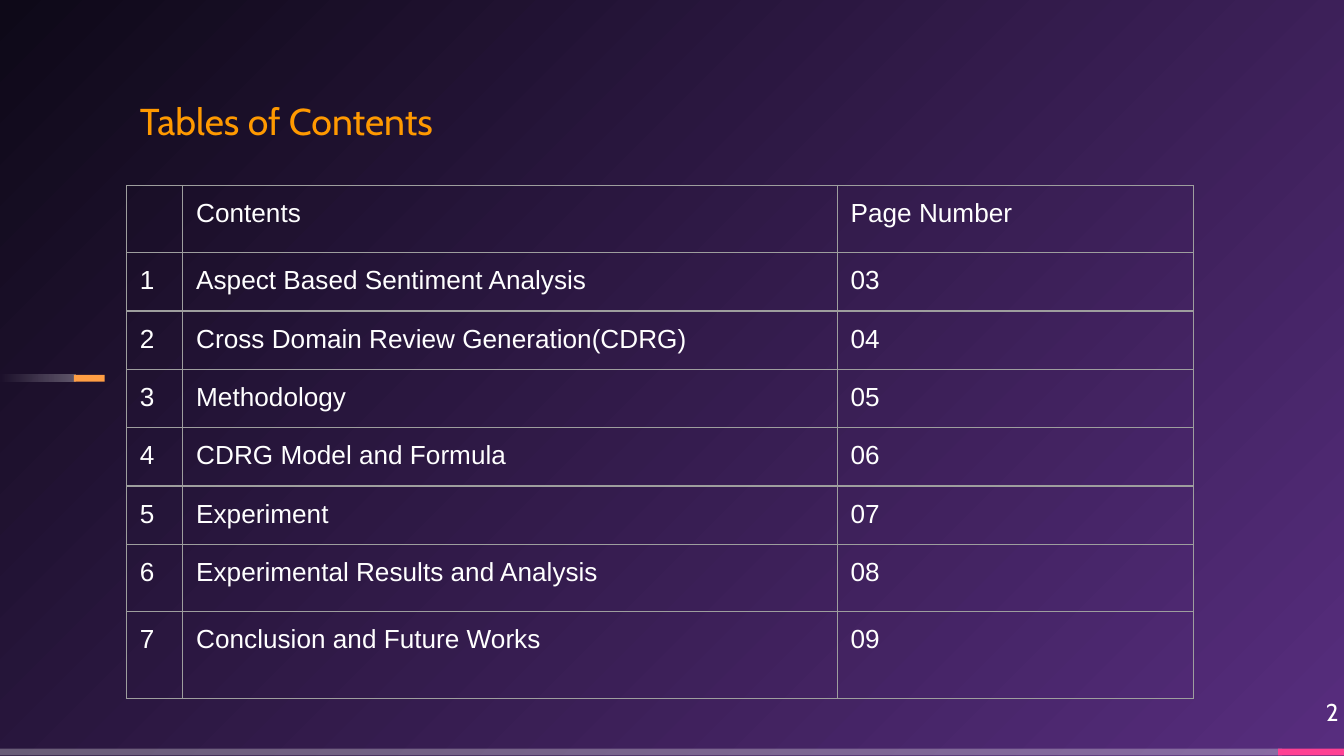
from dataclasses import dataclass

from lxml import etree
from pptx import Presentation
from pptx import util as u
from pptx.dml.color import RGBColor
from pptx.enum import shapes, text
from pptx.oxml import ns

WHITE = RGBColor(0xFF, 0xFF, 0xFF)
PINK = RGBColor(0xFF, 0x40, 0x93)
AMBER = RGBColor(0xFF, 0x9E, 0x44)
ORANGE = RGBColor(0xFF, 0x99, 0x00)
GREY = RGBColor(0x9E, 0x9E, 0x9E)
PURPLE = RGBColor(0x57, 0x2D, 0x7E)
NIGHT = RGBColor(0x0E, 0x09, 0x18)

PAGE_WIDTH = 10
PAGE_HEIGHT = PAGE_WIDTH * 9 / 16
TOPICS = [
    "Aspect Based Sentiment Analysis",
    "Cross Domain Review Generation(CDRG)",
    "Methodology",
    "CDRG Model and Formula",
    "Experiment",
    "Experimental Results and Analysis",
    "Conclusion and Future Works",
]
FIRST_PAGE = 3
COLUMN_WIDTHS = [0.42, 4.87, 2.65]
ROW_HEIGHTS = [0.42] * 6 + [0.5, 0.65]


@dataclass
class Bar:
    left: float
    top: float
    width: float
    color: RGBColor
    opacities: tuple[int, ...] = (100,)


BARS = [
    Bar(0, 5.57, 9.54, WHITE, (30,)),
    Bar(9.51, 5.57, 0.49, PINK),
    Bar(0, 2.79, 0.56, WHITE, (30, 0)),
    Bar(0.55, 2.79, 0.23, AMBER),
]


def set_gradient(fill, colors: list[RGBColor]) -> None:
    fill.gradient()
    for stop, color in zip(fill.gradient_stops, colors):
        stop.color.rgb = color


def paint_background(page) -> None:
    set_gradient(page.background.fill, [PURPLE, NIGHT])
    gradient = page.element.find(".//" + ns.qn("a:gradFill"))
    gradient.remove(gradient.find(ns.qn("a:lin")))
    radial = etree.SubElement(gradient, ns.qn("a:path"), path="circle")
    etree.SubElement(radial, ns.qn("a:fillToRect"), l="100000", t="100000")


def draw_bar(page, bar: Bar) -> None:
    shape = page.shapes.add_shape(
        shapes.MSO_SHAPE.RECTANGLE,
        u.Inches(bar.left), u.Inches(bar.top), u.Inches(bar.width), u.Inches(0.05),
    )
    shape.shadow.inherit = False
    shape.line.fill.background()
    if len(bar.opacities) > 1:
        set_gradient(shape.fill, [bar.color] * len(bar.opacities))
        shape.fill.gradient_angle = 180
    else:
        shape.fill.solid()
        shape.fill.fore_color.rgb = bar.color
    colors = shape.element.spPr.iter(ns.qn("a:srgbClr"))
    for color, opacity in zip(colors, bar.opacities):
        if opacity < 100:
            etree.SubElement(color, ns.qn("a:alpha"), val=str(opacity * 1000))


def add_span(para, words: str, size: float, font: str, color: RGBColor) -> None:
    span = para.add_run()
    span.text = words
    span.font.size = u.Pt(size)
    span.font.name = font
    span.font.color.rgb = color


def set_insets(holder, inset: float) -> None:
    for side in ("left", "top", "right", "bottom"):
        setattr(holder, f"margin_{side}", u.Inches(inset))


def write_title(page) -> None:
    title = page.shapes.title
    title.left, title.top = u.Inches(0.94), u.Inches(0.63)
    title.width, title.height = u.Inches(4.66), u.Inches(0.54)
    frame = title.text_frame
    frame.word_wrap = True
    frame.auto_size = text.MSO_AUTO_SIZE.NONE
    frame.vertical_anchor = text.MSO_ANCHOR.MIDDLE
    set_insets(frame, 0.1)
    para = frame.paragraphs[0]
    para.alignment = text.PP_ALIGN.LEFT
    add_span(para, "Tables of Contents", 20, "Cabin", ORANGE)


def write_page_number(page) -> None:
    box = page.shapes.add_textbox(
        u.Inches(9.36), u.Inches(5.19), u.Inches(0.6), u.Inches(0.43)
    )
    box.text_frame.word_wrap = True
    set_insets(box.text_frame, 0)
    para = box.text_frame.paragraphs[0]
    para.alignment = text.PP_ALIGN.RIGHT
    add_span(para, "2", 13, "Cabin", WHITE)


def draw_borders(cell) -> None:
    properties = cell._tc.get_or_add_tcPr()
    for position, edge in enumerate(("lnL", "lnR", "lnT", "lnB")):
        line = etree.Element(ns.qn(f"a:{edge}"), w=str(u.Pt(0.75)))
        fill = etree.SubElement(line, ns.qn("a:solidFill"))
        etree.SubElement(fill, ns.qn("a:srgbClr"), val=str(GREY))
        properties.insert(position, line)


def draw_contents(page) -> None:
    rows = [("", "Contents", "Page Number")]
    for index, topic in enumerate(TOPICS):
        rows.append((str(index + 1), topic, f"{index + FIRST_PAGE:02d}"))
    table = page.shapes.add_table(
        len(rows), len(COLUMN_WIDTHS), u.Inches(0.94), u.Inches(1.38),
        u.Inches(sum(COLUMN_WIDTHS)), u.Inches(sum(ROW_HEIGHTS)),
    ).table
    table.first_row = False
    table.horz_banding = False
    for column, width in zip(table.columns, COLUMN_WIDTHS):
        column.width = u.Inches(width)
    for row, height, entries in zip(table.rows, ROW_HEIGHTS, rows):
        row.height = u.Inches(height)
        for cell, words in zip(row.cells, entries):
            set_insets(cell, 0.1)
            cell.fill.background()
            draw_borders(cell)
            if words:
                add_span(cell.text_frame.paragraphs[0], words, 14, "Arial", WHITE)


def main() -> None:
    deck = Presentation()
    deck.slide_width, deck.slide_height = u.Inches(PAGE_WIDTH), u.Inches(PAGE_HEIGHT)
    page = deck.slides.add_slide(deck.slide_layouts[5])
    paint_background(page)
    for bar in BARS:
        draw_bar(page, bar)
    write_page_number(page)
    write_title(page)
    draw_contents(page)
    deck.save("out.pptx")


if __name__ == "__main__":
    main()
